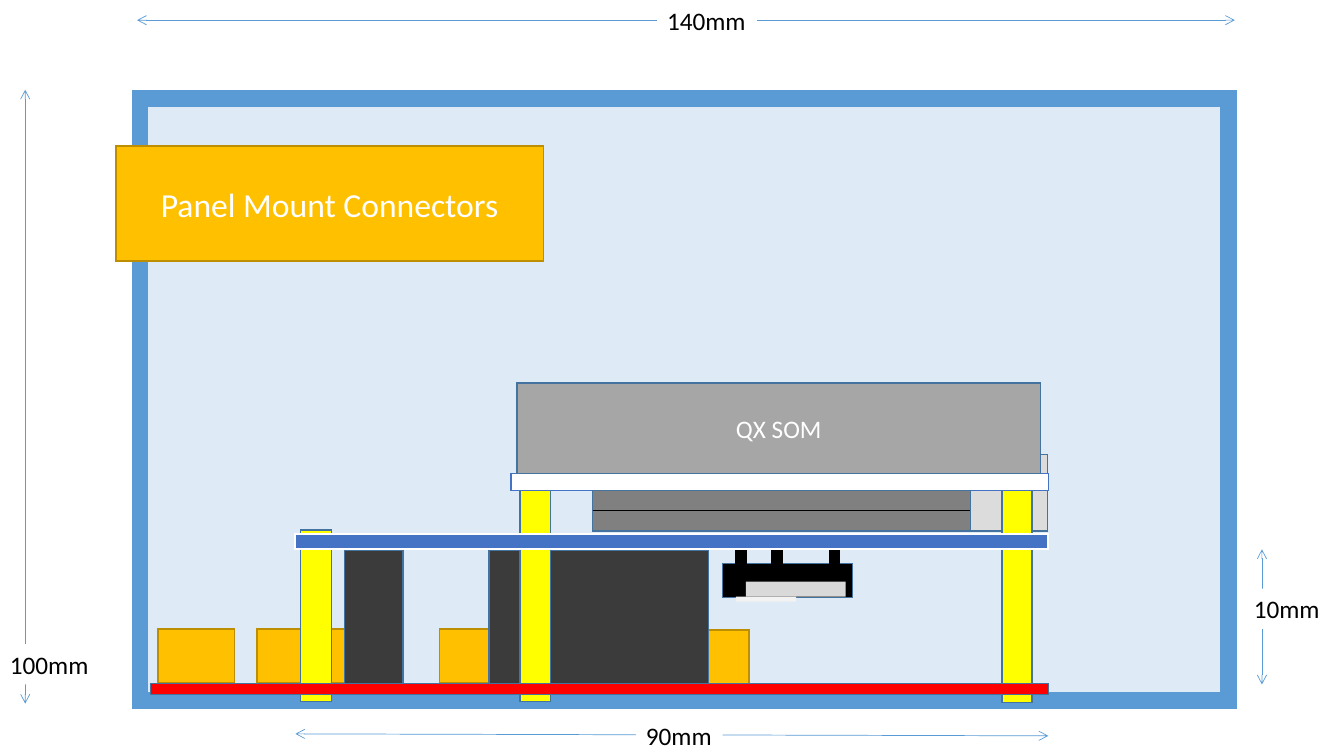
"""Draw the side view of an enclosure with stacked boards, connectors and dimensions."""
from dataclasses import dataclass

from lxml.etree import SubElement
from pptx import Presentation
from pptx.dml.color import RGBColor
from pptx.enum.shapes import MSO_CONNECTOR, MSO_SHAPE
from pptx.enum.text import MSO_ANCHOR, MSO_AUTO_SIZE, PP_ALIGN
from pptx.oxml.ns import qn
from pptx.util import Pt

FONT = "Calibri"
WHITE, BLACK = "FFFFFF", "000000"
BLUE, STEEL, ROYAL = "5B9BD5", "43739E", "4472C4"
AMBER, BRONZE, YELLOW, CHARCOAL = "FFC000", "BD8E00", "FFFF00", "3B3B3B"


@dataclass(frozen=True)
class Box:
    left: float
    top: float
    width: float
    height: float
    fill: str
    outline: str | None = STEEL
    weight: float = 1
    text: str = ""
    size: float = 18


@dataclass(frozen=True)
class Line:
    x1: float
    y1: float
    x2: float
    y2: float
    color: str = BLUE
    arrows: bool = True


@dataclass(frozen=True)
class Label:
    left: float
    top: float
    width: float
    text: str


@dataclass(frozen=True)
class Cluster:
    members: tuple


def color(value: str) -> RGBColor:
    return RGBColor.from_string(value)


def style_text(paragraph, text: str, size: float, shade: str) -> None:
    paragraph.text = text
    paragraph.font.name = FONT
    paragraph.font.size = Pt(size)
    paragraph.font.color.rgb = color(shade)


def draw_box(shapes, box: Box) -> None:
    shape = shapes.add_shape(MSO_SHAPE.RECTANGLE, Pt(box.left), Pt(box.top), Pt(box.width), Pt(box.height))
    shape.shadow.inherit = False
    shape.fill.solid()
    shape.fill.fore_color.rgb = color(box.fill)
    if box.outline:
        shape.line.color.rgb = color(box.outline)
        shape.line.width = Pt(box.weight)
        outline = shape._element.spPr.find(qn("a:ln"))
        SubElement(outline, qn("a:miter"), lim="800000")
    else:
        shape.line.fill.background()
    if box.text:
        shape.text_frame.word_wrap = True
        shape.text_frame.vertical_anchor = MSO_ANCHOR.MIDDLE
        paragraph = shape.text_frame.paragraphs[0]
        paragraph.alignment = PP_ALIGN.CENTER
        style_text(paragraph, box.text, box.size, WHITE)


def draw_line(shapes, line: Line) -> None:
    connector = shapes.add_connector(MSO_CONNECTOR.STRAIGHT, Pt(line.x1), Pt(line.y1), Pt(line.x2), Pt(line.y2))
    connector.line.color.rgb = color(line.color)
    connector.line.width = Pt(0.5)
    properties = connector._element.spPr
    if line.arrows:
        for end in ("a:headEnd", "a:tailEnd"):
            SubElement(properties.find(qn("a:ln")), qn(end), type="arrow")
    SubElement(properties, qn("a:effectLst"))


def draw_label(shapes, label: Label) -> None:
    box = shapes.add_textbox(Pt(label.left), Pt(label.top), Pt(label.width), Pt(28.8))
    box.fill.solid()
    box.fill.fore_color.rgb = color(WHITE)
    box.text_frame.word_wrap = False
    box.text_frame.auto_size = MSO_AUTO_SIZE.SHAPE_TO_FIT_TEXT
    style_text(box.text_frame.paragraphs[0], label.text, 18, BLACK)


def draw_cluster(shapes, cluster: Cluster) -> None:
    draw_all(shapes.add_group_shape().shapes, cluster.members)


def draw_all(shapes, items: tuple) -> None:
    painters = {Box: draw_box, Line: draw_line, Label: draw_label, Cluster: draw_cluster}
    for item in items:
        painters[type(item)](shapes, item)


def socket(left: float, top: float = 449.3, width: float = 95.8) -> Box:
    return Box(left, top, width, 38.5, AMBER, BRONZE)


def tall_part(left: float, width: float) -> Box:
    return Box(left, 393.1, width, 95, CHARCOAL)


def standoff(left: float, top: float, width: float = 21.6, height: float = 168.5) -> Box:
    return Box(left, top, width, height, YELLOW)


PINS = tuple(Box(left, 392.4, 7.2, 10.1, BLACK, BLACK) for left in (525.6, 592.6, 551.5))
HEADER = Cluster((
    Box(516.2, 402.5, 92.9, 24.5, BLACK),
    Box(532.8, 415.4, 71.3, 10.8, "D9D9D9", None),
    Box(525.6, 426.2, 43.2, 3.6, "F2F2F2", None),
    *PINS,
))
MEZZANINE = Cluster((
    Box(423.4, 350.6, 270, 28.8, "808080"),
    Line(423.4, 364.3, 692.6, 364.3, BLACK, arrows=False),
))
SCENE = (
    Box(100.1, 70.6, 777.6, 429.8, "DEEBF7", BLUE, 12),
    socket(439.2, 450),
    socket(313.9),
    tall_part(349.2, 157),
    HEADER,
    standoff(371.5, 332.6),
    Box(614.2, 324.7, 133.9, 54.7, "DCDCDC"),
    standoff(715.7, 333.4),
    Line(97.9, 14.4, 882, 14.4),
    Label(469.4, 0, 71.3, "140mm"),
    socket(183.6),
    Line(18, 64.1, 18, 502.6),
    socket(113, width=54.7),
    Label(0, 460.1, 71.3, "100mm"),
    Box(365, 338.4, 383.8, 12.2, WHITE, ROYAL),
    Line(211, 524.2, 748.8, 525.6),
    Label(454.3, 511.2, 61.9, "90mm"),
    Line(901.4, 392.4, 901.4, 488.9),
    Label(888.5, 420.5, 61.9, "10mm"),
    tall_part(246.2, 41.8),
    MEZZANINE,
    Box(369.4, 273.6, 373.7, 64.8, "A6A6A6", text="QX SOM"),
    Box(82.8, 104.4, 305.3, 82.1, AMBER, BRONZE, text="Panel Mount Connectors", size=24),
    standoff(214.6, 378.7, 22.3, 122.4),
    Box(211, 381.6, 537.8, 10.8, ROYAL, WHITE, 1.5),
    Box(107.3, 488.2, 641.5, 7.9, "FF0000"),
)


def main() -> None:
    deck = Presentation()
    deck.slide_width, deck.slide_height = Pt(960), Pt(540)
    page = deck.slides.add_slide(deck.slide_layouts[6])
    draw_all(page.shapes, SCENE)
    deck.save("out.pptx")


if __name__ == "__main__":
    main()
